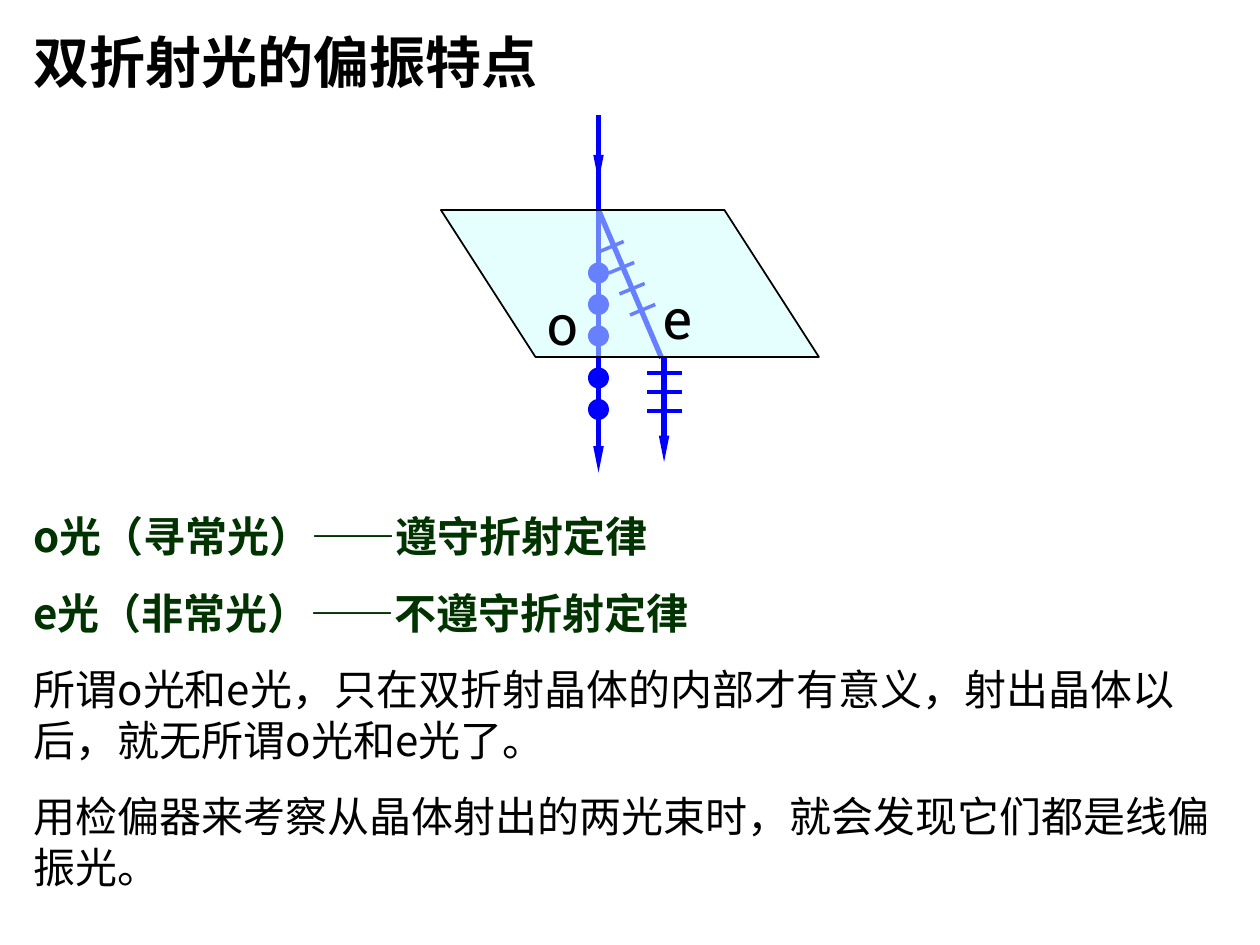
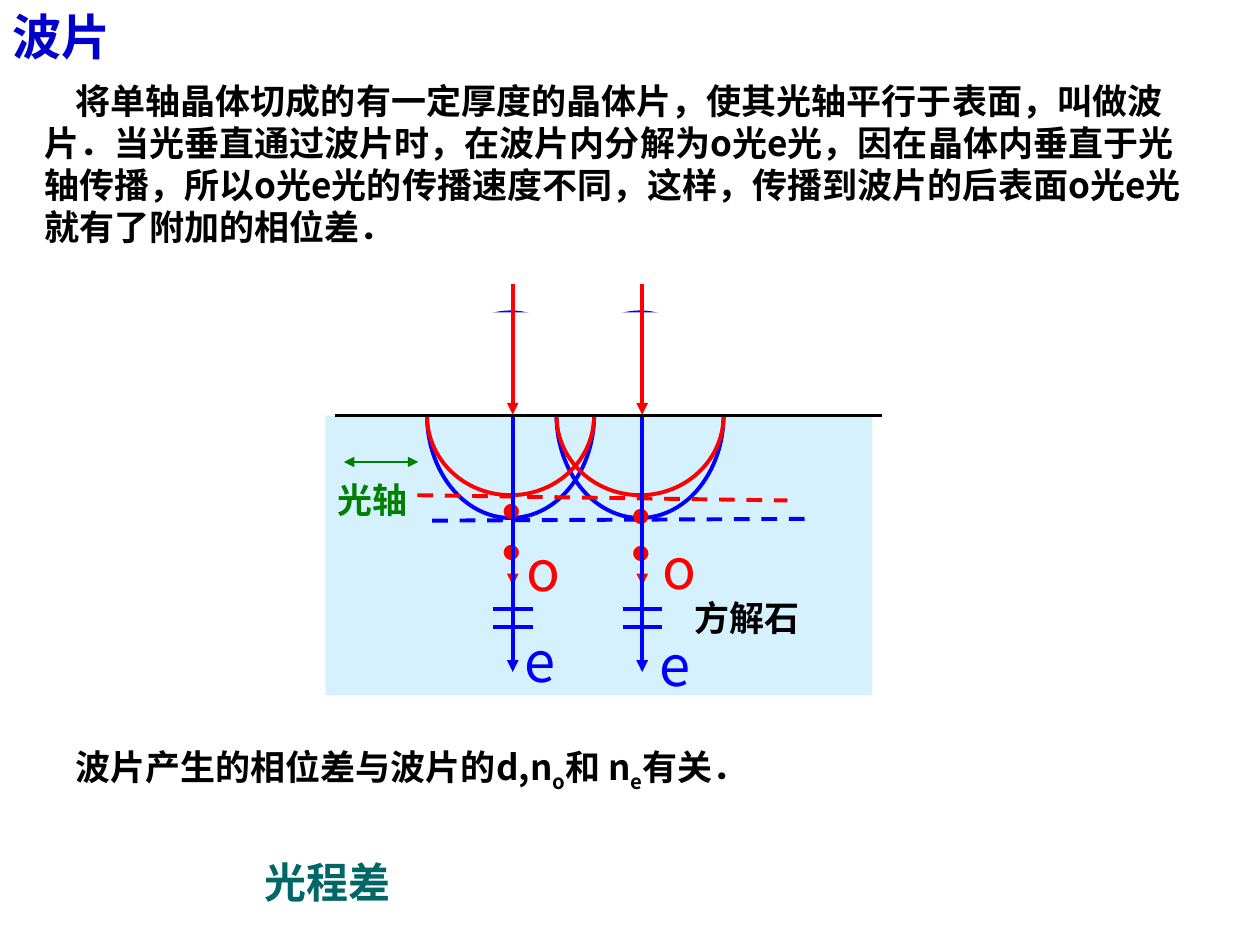
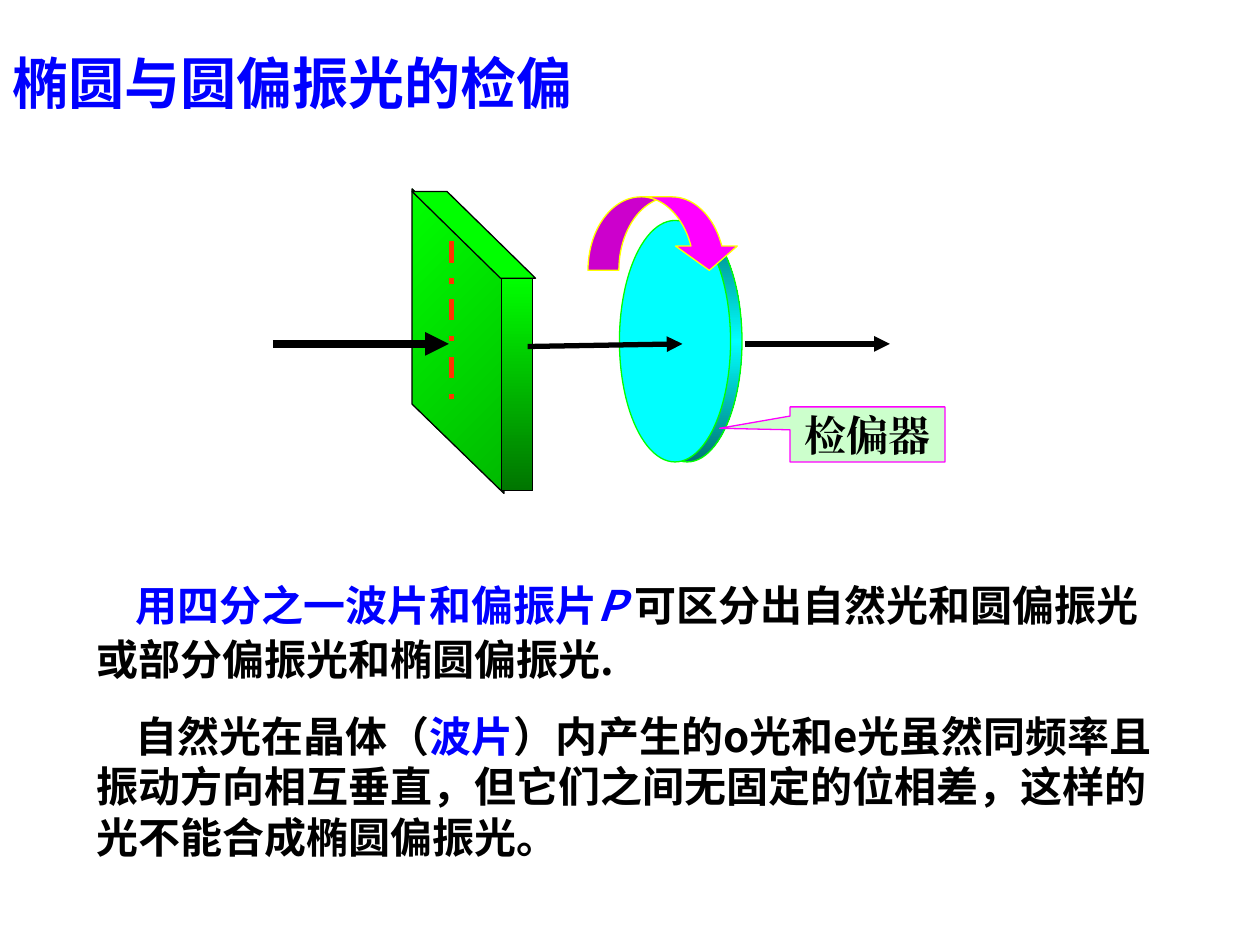
from copy import deepcopy

from lxml import etree
from pptx import Presentation
from pptx.dml.color import RGBColor
from pptx.enum.dml import MSO_LINE
from pptx.enum.shapes import MSO_CONNECTOR, MSO_SHAPE
from pptx.enum.text import MSO_ANCHOR, MSO_AUTO_SIZE, PP_ALIGN
from pptx.oxml.ns import qn
from pptx.util import Pt

STRAIGHT = MSO_CONNECTOR.STRAIGHT
RECTANGLE = MSO_SHAPE.RECTANGLE
OVAL = MSO_SHAPE.OVAL
PARALLELOGRAM = MSO_SHAPE.PARALLELOGRAM
CALLOUT = MSO_SHAPE.RECTANGULAR_CALLOUT
CURVED_ARROW = MSO_SHAPE.CURVED_DOWN_ARROW
DASH = MSO_LINE.DASH
DASH_DOT = MSO_LINE.DASH_DOT
TOP, MIDDLE = MSO_ANCHOR.TOP, MSO_ANCHOR.MIDDLE
LEFT, CENTER = PP_ALIGN.LEFT, PP_ALIGN.CENTER
NO_FIT = MSO_AUTO_SIZE.NONE

SANS = "Noto Sans CJK SC"
SLAB = "Roboto Slab"
BLACK, WHITE = "000000", "FFFFFF"
BLUE, RED, GREEN = "0000FF", "FF0000", "00FF00"
LINE_PITCH = 1.2


def color(hex_code):
    return RGBColor.from_string(hex_code)


class Deck:
    def __init__(self):
        self.prs = Presentation()
        self.prs.slide_width, self.prs.slide_height = Pt(720), Pt(540)
        self.slide = None

    def new_slide(self, title, box, size, ink):
        self.slide = self.prs.slides.add_slide(self.prs.slide_layouts[1])
        self.set_text(self.place(self.slide.shapes.title, box), [[title]],
                      size=size, ink=ink, bold=True)

    def place(self, shape, box):
        shape.left, shape.top, shape.width, shape.height = map(Pt, box)
        return shape

    def body(self, box, paragraphs, **style):
        holder = self.place(self.slide.placeholders[1], box)
        self.set_text(holder, paragraphs, **style)

    def label(self, box, runs, **style):
        holder = self.slide.shapes.add_textbox(*map(Pt, box))
        self.set_text(holder, [runs], **style)

    def set_text(self, holder, paragraphs, size=20, ink=BLACK, bold=False, font=SANS,
                 before=0, indent=0, first_pitch=None, top_inset=3.6,
                 align=LEFT, anchor=TOP):
        frame = holder.text_frame
        frame.word_wrap = True
        frame.auto_size = NO_FIT
        frame.vertical_anchor = anchor
        frame.margin_left = frame.margin_right = Pt(7.2)
        frame.margin_top, frame.margin_bottom = Pt(top_inset), Pt(3.6)
        for number, runs in enumerate(paragraphs):
            paragraph = frame.add_paragraph() if number else frame.paragraphs[0]
            properties = paragraph._p.get_or_add_pPr()
            properties.set("marL", "0")
            properties.set("indent", str(Pt(indent)))
            etree.SubElement(properties, qn("a:buNone"))
            paragraph.alignment = align
            paragraph.space_before = Pt(before if number else 0)
            pitch = size * LINE_PITCH
            paragraph.line_spacing = Pt(pitch if number else first_pitch or pitch)
            for part in runs:
                text, own = (part, {}) if isinstance(part, str) else part
                self.run(paragraph, text, size, font,
                         **{"ink": ink, "bold": bold, **own})

    def run(self, paragraph, text, size, font, ink, bold, italic=False, subscript=False):
        run = paragraph.add_run()
        run.text = text
        run.font.size = Pt(size)
        run.font.bold = bold
        run.font.italic = italic
        run.font.color.rgb = color(ink)
        run.font.name = font
        properties = run._r.get_or_add_rPr()
        etree.SubElement(properties, qn("a:ea")).set("typeface", font)
        if subscript:
            properties.set("baseline", "-25000")

    def line(self, start, end, ink, width, arrows=(), dash=None, head=("med", "med")):
        connector = self.slide.shapes.add_connector(STRAIGHT, *map(Pt, (*start, *end)))
        connector.line.color.rgb = color(ink)
        connector.line.width = Pt(width)
        if dash:
            connector.line.dash_style = dash
        outline = connector._element.spPr.find(qn("a:ln"))
        for tip in arrows:
            arrow = etree.SubElement(outline, qn(f"a:{tip}End"))
            arrow.set("type", "triangle")
            arrow.set("w", head[0])
            arrow.set("len", head[1])
        etree.SubElement(connector._element.spPr, qn("a:effectLst"))

    def shape(self, kind, box, fill=None, ink=None, width=0.75, adjust=(), **paint):
        shape = self.slide.shapes.add_shape(kind, *map(Pt, box))
        for index, value in enumerate(adjust):
            shape.adjustments[index] = value
        return self.finish(shape, fill, ink, width, **paint)

    def outline(self, points, fill, ink, width=0.75, **paint):
        corners = [(Pt(x), Pt(y)) for x, y in points]
        builder = self.slide.shapes.build_freeform(*corners[0])
        builder.add_line_segments(corners[1:], close=True)
        return self.finish(builder.convert_to_shape(), fill, ink, width, **paint)

    def finish(self, shape, fill, ink, width, angle=90, opacity=None):
        shape.shadow.inherit = False
        if fill is None:
            shape.fill.background()
        elif isinstance(fill, str):
            shape.fill.solid()
            shape.fill.fore_color.rgb = color(fill)
        else:
            self.gradient(shape, fill, angle)
        if opacity:
            paint = shape._element.spPr.find(f"{qn('a:solidFill')}/{qn('a:srgbClr')}")
            etree.SubElement(paint, qn("a:alpha")).set("val", str(opacity * 1000))
        if ink:
            shape.line.color.rgb = color(ink)
            shape.line.width = Pt(width)
        else:
            shape.line.fill.background()
        return shape

    def gradient(self, shape, colors, angle):
        shape.fill.gradient()
        shape.fill.gradient_angle = 360 - angle
        stops = shape._element.spPr.find(f".//{qn('a:gsLst')}")
        while len(stops) < len(colors):
            stops.append(deepcopy(stops[0]))
        for index, stop in enumerate(shape.fill.gradient_stops):
            stop.position = index / (len(colors) - 1)
            stop.color.rgb = color(colors[index])


def birefringence(deck):
    deck.new_slide("双折射光的偏振特点", (12, 12, 312, 46), 32, BLACK)

    long_head = ("sm", "lg")
    deck.line((342, 78.5), (342, 270), BLUE, 3, ["tail"], head=long_head)
    deck.line((342, 120), (378, 204.5), BLUE, 3)
    deck.line((342, 66), (342, 103.5), BLUE, 3, ["tail"], head=long_head)
    for step in range(4):
        x, y = 342 + 6 * step, 144 + 12 * step
        deck.line((x, y), (x + 14.4, y - 6), BLUE, 2)
    deck.line((379.5, 204), (379.5, 264), BLUE, 3, ["tail"], head=long_head)
    for step in range(3):
        y = 213 + 11 * step
        deck.line((370, y), (390, y), BLUE, 2)
    for y in (150, 168, 186, 210, 228):
        deck.shape(OVAL, (336, y, 12, 12), BLUE)

    crystal = deck.shape(PARALLELOGRAM, (252, 120, 216, 84), "CDFFFF", BLACK, 1,
                         [0.643], opacity=50)
    crystal._element.spPr.find(qn("a:xfrm")).set("flipH", "1")
    deck.label((372, 158.5, 36, 45.5), ["e"], size=32, font=SLAB)
    deck.label((306, 162, 36, 45.5), ["o"], size=32, font=SLAB)

    law = {"ink": "003300", "bold": True}
    deck.body((12, 281, 690, 232.5), [
        [("o光（寻常光）——遵守折射定律", law)],
        [("e光（非常光）——不遵守折射定律", law)],
        ["所谓o光和e光，只在双折射晶体的内部才有意义，射出晶体以后，就无所谓o光和e光了。"],
        ["用检偏器来考察从晶体射出的两光束时，就会发现它们都是线偏振光。"],
    ], size=24, before=15, first_pitch=36)


def wave_plate(deck):
    deck.new_slide("波片", (0, 0, 108, 41), 28, "0000CC")
    deck.body((18, 42, 666, 104), [[
        "将单轴晶体切成的有一定厚度的晶体片，使其光轴平行于表面，叫做波片．"
        "当光垂直通过波片时，在波片内分解为o光e光，因在晶体内垂直于光轴传播，"
        "所以o光e光的传播速度不同，这样，传播到波片的后表面o光e光就有了附加的相位差．"
    ]], bold=True, indent=18)
    low = {"subscript": True}
    deck.label((36, 426, 462, 34.5), [
        "波片产生的相位差与波片的d,n", ("o", low), "和 n", ("e", low), "有关．",
    ], bold=True)
    deck.label((144, 486, 132, 36), ["光程差"], size=24, ink="006666", bold=True)

    deck.shape(RECTANGLE, (186, 237.5, 312.5, 160), "D6F1FE")
    wavefronts = (244, 318)
    for x in wavefronts:
        deck.shape(OVAL, (x, 178.5, 95.5, 117.5), ink=BLUE, width=2.25)
    for x in wavefronts:
        deck.shape(OVAL, (x, 192, 95.5, 91), ink=RED, width=2.25)
    deck.shape(RECTANGLE, (228, 178.5, 207, 59), WHITE)
    deck.line((191.5, 237.5), (504, 237.5), BLACK, 1.5)
    deck.line((196.5, 264), (239, 264), "008000", 0.75, ["head", "tail"])
    deck.label((186, 270, 69, 32), ["光轴"], ink="008000", bold=True)
    deck.label((390, 337.5, 106, 32), ["方解石"], bold=True)
    deck.line((238.5, 283), (450, 286), RED, 2.25, dash=DASH)
    deck.line((247, 297.5), (461.5, 296.5), BLUE, 2.25, dash=DASH)

    rays = (
        (293, (267.5, 291), (293.5, 302.5), (292.5, 354.5)),
        (367, (270.5, 291.5), (371.5, 301.5), (369.5, 356.5)),
    )
    for x, dot_tops, o_corner, e_corner in rays:
        deck.line((x, 162), (x, 237), RED, 2.25, ["tail"])
        deck.line((x, 238.5), (x, 334.5), RED, 2.25, ["tail"])
        for top in dot_tops:
            deck.label((x - 13.5, top, 27, 46), ["•"], size=32, ink=RED, font="Arial")
        deck.line((x, 238.5), (x, 384), BLUE, 2.25, ["tail"])
        for y in (348, 358.5):
            deck.line((x - 11, y), (x + 11.5, y), BLUE, 2.25)
        deck.label((*o_corner, 37.5, 46), ["o"], size=32, ink=RED)
        deck.label((*e_corner, 37.5, 46), ["e"], size=32, ink=BLUE)


def polarization_test(deck):
    deck.new_slide("椭圆与圆偏振光的检偏", (0, 24, 414, 46), 32, BLUE)
    blue = {"ink": BLUE}
    deck.body((48, 318, 624, 176), [
        [("用四分之一波片和偏振片", blue), ("P ", {"ink": BLUE, "italic": True}),
         "可区分出自然光和圆偏振光或部分偏振光和椭圆偏振光."],
        ["自然光在晶体（", ("波片", blue),
         "）内产生的o光和e光虽然同频率且振动方向相互垂直，但它们之间无固定的位相差，"
         "这样的光不能合成椭圆偏振光。"],
    ], size=24, bold=True, before=15, indent=22, first_pitch=31, top_inset=11)

    deck.shape(OVAL, (361.5, 126, 62.5, 138), ("007575", "00FFFF", "007575"), GREEN)
    deck.shape(OVAL, (354, 126, 63.5, 138), "00FFFF", GREEN)
    analyzer = deck.shape(CALLOUT, (451.5, 232.5, 88.5, 31.5), "CCFFCC", "FF00FF",
                          adjust=[-0.955, -0.111])
    deck.set_text(analyzer, [["检偏器"]], size=24, bold=True, font="Times New Roman",
                  align=CENTER, anchor=MIDDLE)

    deck.outline([(235.5, 231), (288, 282), (288, 159), (235.5, 108)],
                 ("00B900", GREEN), BLACK, angle=225)
    deck.outline([(255.5, 109.5), (306, 159), (286, 159), (235.5, 109.5)], GREEN, BLACK)
    deck.shape(RECTANGLE, (286.5, 159, 18, 121.5), (GREEN, "007500"), BLACK)
    deck.line((258, 138), (258, 236), "FF3300", 3, dash=DASH_DOT)
    deck.line((301.5, 198), (390, 196.5), BLACK, 3, ["tail"])
    deck.line((426, 196.5), (508.5, 196.5), BLACK, 3, ["tail"])
    deck.line((156, 196.5), (256.5, 196.5), BLACK, 4.5, ["tail"])
    deck.shape(CURVED_ARROW, (336, 112.5, 87, 42), "FF00FF", "FFFF00",
               adjust=[0.42, 0.84, 0.33])


def main():
    deck = Deck()
    birefringence(deck)
    wave_plate(deck)
    polarization_test(deck)
    deck.prs.save("out.pptx")


if __name__ == "__main__":
    main()
